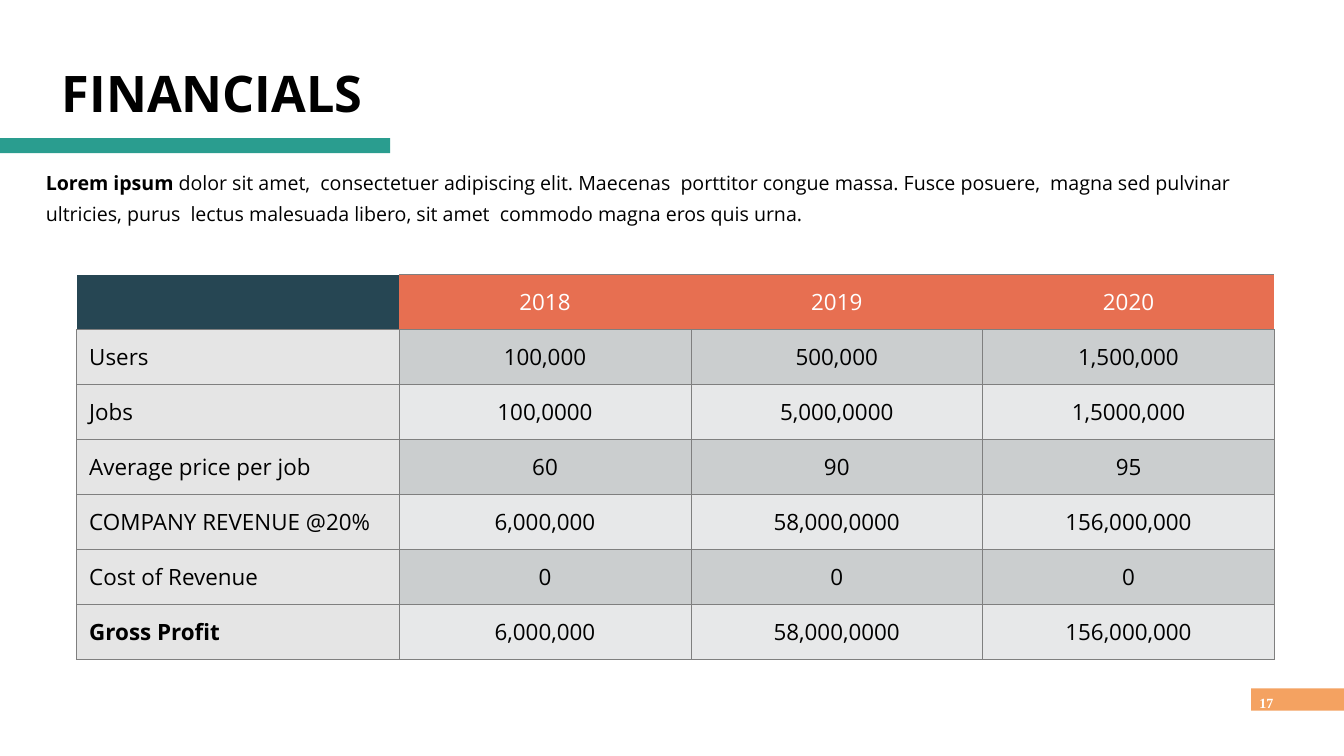
from dataclasses import dataclass
from typing import NamedTuple

from lxml.etree import SubElement
from pptx import Presentation
from pptx.dml.color import RGBColor
from pptx.enum.shapes import MSO_SHAPE as Shape
from pptx.enum.text import MSO_ANCHOR as Anchor, PP_ALIGN as Align
from pptx.oxml.ns import qn
from pptx.util import Inches, Pt

WIDTH, HEIGHT = Inches(26.67), Inches(15)
BODY_FONT = "Open Sans"
BLACK, WHITE, TEAL, NAVY = "000000", "FFFFFF", "2A9D8F", "264653"
CORAL, SAND, LABEL_GREY, RULE_GREY = "E76F51", "F4A261", "555555", "7F7F7F"
BANDS = ("CBCECF", "E7E8E9")
LABEL_SHARE, YEAR_SHARE, ROW_SHARE = 24, 21.71, 7.27
ROWS = (
    ("", "2018", "2019", "2020"),
    ("Users", "100,000", "500,000", "1,500,000"),
    ("Jobs", "100,0000", "5,000,0000", "1,5000,000"),
    ("Average price per job", "60", "90", "95"),
    ("COMPANY REVENUE @20%", "6,000,000", "58,000,0000", "156,000,000"),
    ("Cost of Revenue", "0", "0", "0"),
    ("Gross Profit", "6,000,000", "58,000,0000", "156,000,000"),
)


class Area(NamedTuple):
    """Left, top, width and height in percent of the slide."""
    left: float
    top: float
    width: float
    height: float

    def emu(self) -> tuple:
        return (across(self.left), down(self.top), across(self.width), down(self.height))


class Words(NamedTuple):
    """A stretch of text in one weight."""
    text: str
    bold: bool = True


@dataclass(frozen=True)
class Bar:
    """A plain coloured rectangle."""
    area: Area
    fill: str


@dataclass(frozen=True)
class Caption:
    """A free-standing paragraph with its insets in inches."""
    area: Area
    words: tuple
    size: int
    insets: tuple
    color: str = BLACK
    font: str = BODY_FONT
    spacing: float = 1.0
    anchor: Anchor = Anchor.TOP


BARS = (
    Bar(Area(93.1, 91.07, 6.9, 2.93), SAND),
    Bar(Area(0, 18.27, 29.02, 2), TEAL),
)
CAPTIONS = (
    Caption(Area(93.4, 91.47, 1.69, 2.27), (Words("17"),), 20, (0.08, 0, 0, 0),
            color=WHITE, font="Times New Roman", spacing=1.2),
    Caption(Area(3.41, 21.13, 91.49, 8.87),
            (Words("Lorem ipsum "),
             Words("dolor sit amet,  consectetuer adipiscing elit. Maecenas  porttitor congue "
                   "massa. Fusce posuere,  magna sed pulvinar ultricies, purus  lectus malesuada "
                   "libero, sit amet  commodo magna eros quis urna.", False)),
            28, (0, 0.08, 0.47, 0.08), spacing=1.3),
    Caption(Area(4.24, 7.33, 66.97, 9.67), (Words("FINANCIALS"),), 72,
            (0.1, 0.05, 0.1, 0.05), anchor=Anchor.MIDDLE),
)
TABLE_AREA = Area(5.7, 36.33, LABEL_SHARE + 3 * YEAR_SHARE, len(ROWS) * ROW_SHARE)


def across(share: float) -> int:
    """Turn a percentage of the slide's width into a length."""
    return int(WIDTH * share / 100)


def down(share: float) -> int:
    """Turn a percentage of the slide's height into a length."""
    return int(HEIGHT * share / 100)


def rgb(code: str) -> RGBColor:
    """Read a hex colour."""
    return RGBColor.from_string(code)


def apply(target, values: dict) -> None:
    """Set each named attribute on the target."""
    for name, value in values.items():
        setattr(target, name, value)


def insets(lengths: tuple) -> dict:
    """Name the left, top, right and bottom margins."""
    sides = ("left", "top", "right", "bottom")
    return {f"margin_{side}": Inches(length) for side, length in zip(sides, lengths)}


def write(paragraph, words: Words, size: int, font: str, color: str) -> None:
    """Add one formatted run to a paragraph."""
    run = paragraph.add_run()
    run.text = words.text
    apply(run.font, {"size": Pt(size), "name": font, "bold": words.bold})
    run.font.color.rgb = rgb(color)


def draw_bar(slide, bar: Bar) -> None:
    """Draw a borderless rectangle."""
    shape = slide.shapes.add_shape(Shape.RECTANGLE, *bar.area.emu())
    shape.shadow.inherit = False
    shape.fill.solid()
    shape.fill.fore_color.rgb = rgb(bar.fill)
    shape.line.fill.background()


def draw_caption(slide, caption: Caption) -> None:
    """Draw a wrapped text box."""
    frame = slide.shapes.add_textbox(*caption.area.emu()).text_frame
    apply(frame, {"word_wrap": True, "vertical_anchor": caption.anchor, **insets(caption.insets)})
    paragraph = frame.paragraphs[0]
    paragraph.line_spacing = caption.spacing
    for words in caption.words:
        write(paragraph, words, caption.size, caption.font, caption.color)


def set_alpha(color_holder, percent: int) -> None:
    """Give the colour inside a solid fill its opacity."""
    color = color_holder.find(f".//{qn('a:srgbClr')}")
    SubElement(color, qn("a:alpha"), val=str(percent * 1000))


def rule_cell(cell, ruled: str) -> None:
    """Rule the listed sides of a cell and clear the others."""
    properties = cell._tc.get_or_add_tcPr()
    for index, side in enumerate("LRTB"):
        line = properties.makeelement(qn(f"a:ln{side}"), {"w": str(Pt(0.75))})
        properties.insert(index, line)
        if side in ruled:
            solid = SubElement(line, qn("a:solidFill"))
            SubElement(solid, qn("a:srgbClr"), val=RULE_GREY)
            set_alpha(line, 50)
        else:
            SubElement(line, qn("a:noFill"))


def cell_fill(row: int, column: int) -> str:
    """Choose the header, label or band colour."""
    if row == 0:
        return CORAL if column else NAVY
    return BANDS[(row - 1) % 2] if column else LABEL_GREY


def draw_cell(cell, row: int, column: int, text: str) -> None:
    """Fill, rule and write one cell of the table."""
    header, label = row == 0, column == 0
    apply(cell, {"vertical_anchor": Anchor.MIDDLE, **insets((0.25, 0.13, 0.25, 0.13))})
    cell.fill.solid()
    cell.fill.fore_color.rgb = rgb(cell_fill(row, column))
    if label and not header:
        set_alpha(cell._tc.tcPr, 15)
    rule_cell(cell, ("B" if label else "TB") if header else "LRTB")
    if text:
        paragraph = cell.text_frame.paragraphs[0]
        paragraph.alignment = Align.LEFT if label else Align.CENTER
        words = Words(text, label and row == len(ROWS) - 1)
        write(paragraph, words, 32, BODY_FONT, WHITE if header else BLACK)


def draw_financials(slide) -> None:
    """Draw the table of yearly figures."""
    table = slide.shapes.add_table(len(ROWS), len(ROWS[0]), *TABLE_AREA.emu()).table
    for index, column in enumerate(table.columns):
        column.width = across(YEAR_SHARE if index else LABEL_SHARE)
    for row, texts in enumerate(ROWS):
        table.rows[row].height = down(ROW_SHARE)
        for column, text in enumerate(texts):
            draw_cell(table.cell(row, column), row, column, text)


def main() -> None:
    """Build and save the slide."""
    deck = Presentation()
    apply(deck, {"slide_width": WIDTH, "slide_height": HEIGHT})
    slide = deck.slides.add_slide(deck.slide_layouts[6])
    for bar in BARS:
        draw_bar(slide, bar)
    draw_financials(slide)
    for caption in CAPTIONS:
        draw_caption(slide, caption)
    deck.save("out.pptx")


if __name__ == "__main__":
    main()
